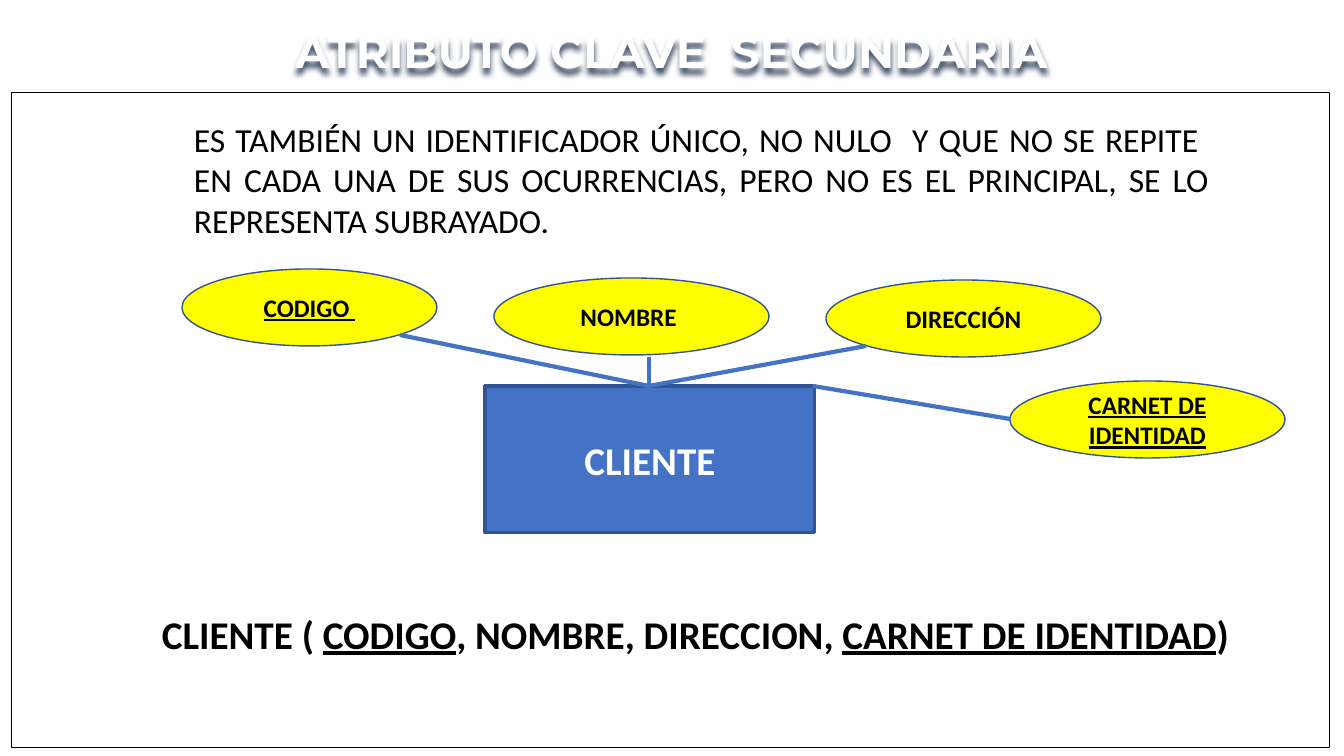
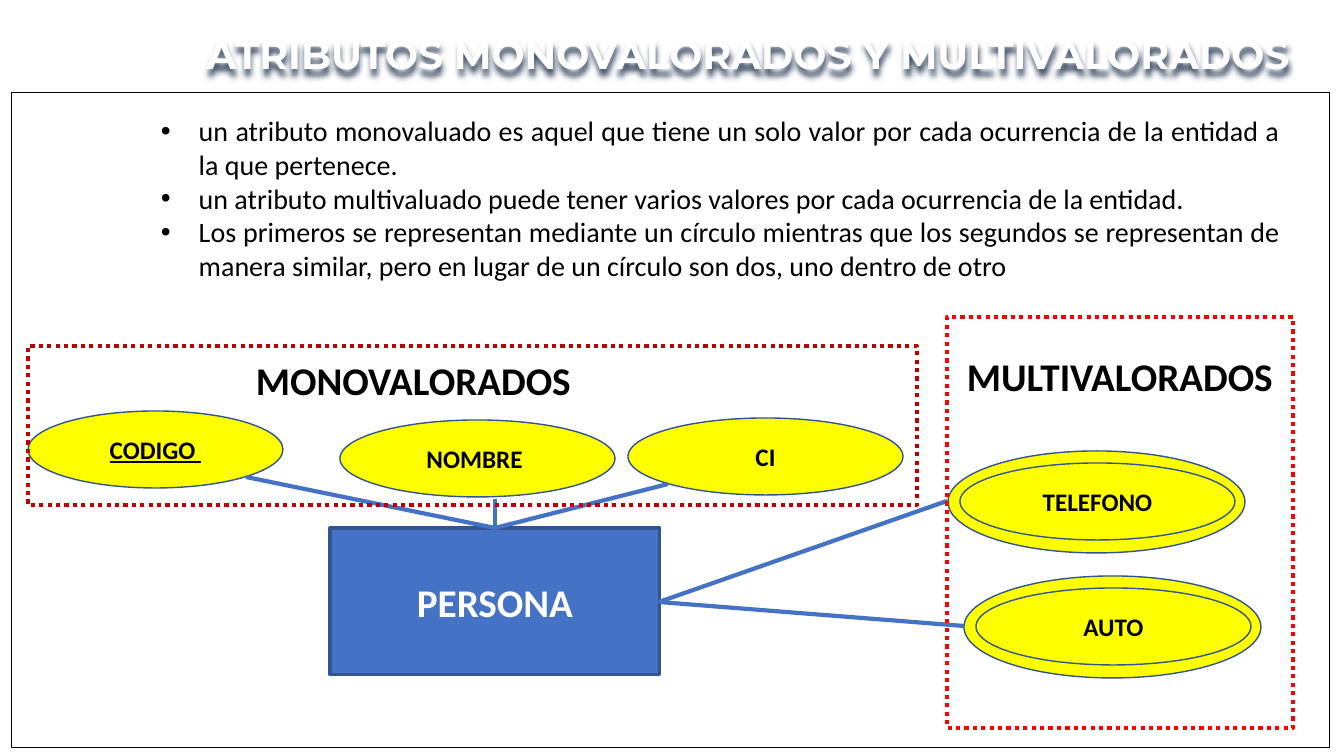
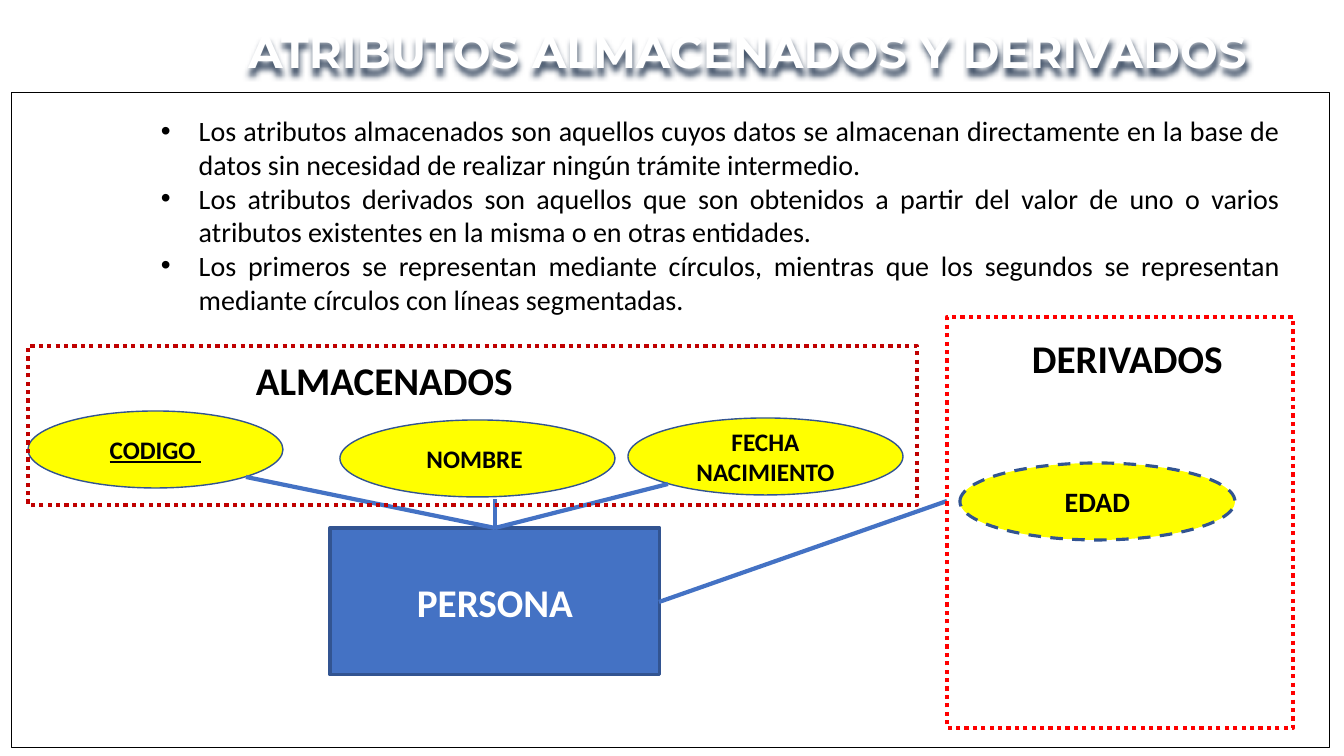
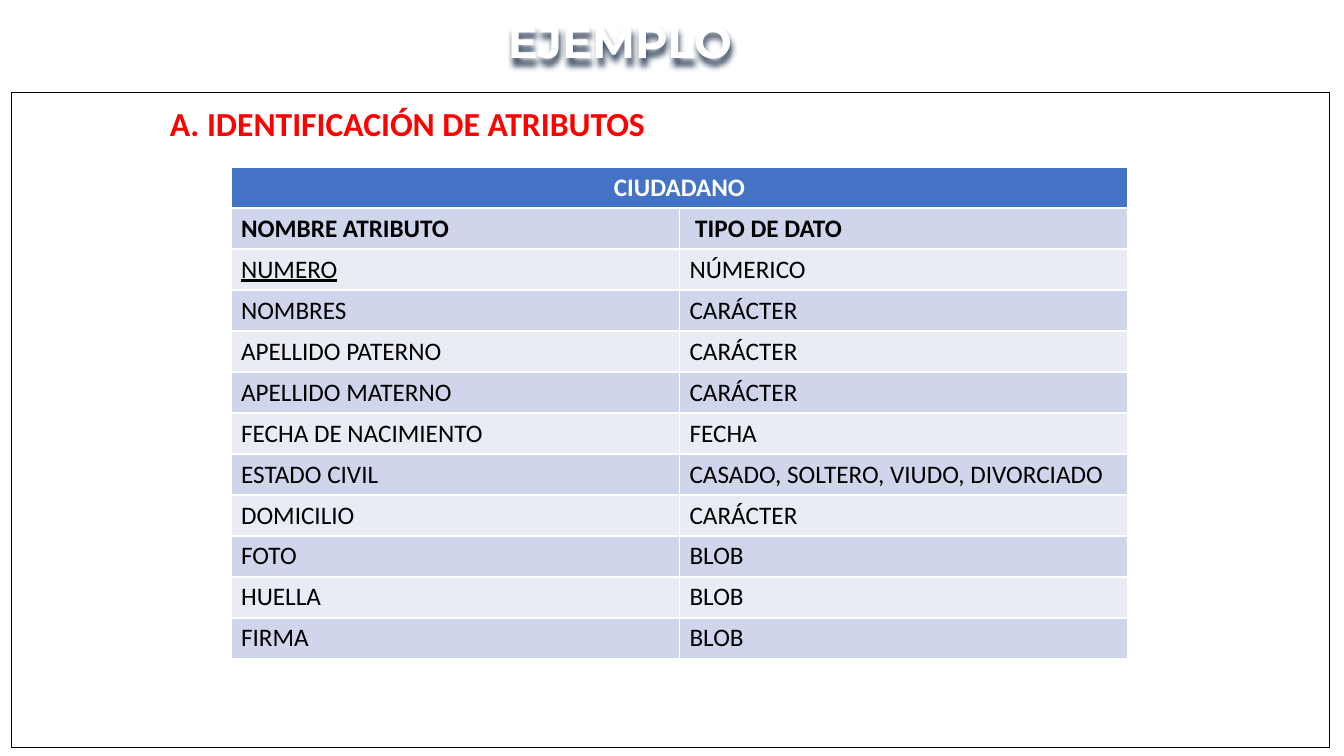
from dataclasses import dataclass

from lxml.etree import SubElement
from pptx import Presentation
from pptx.dml.color import RGBColor
from pptx.enum.dml import MSO_LINE as DASH
from pptx.enum.shapes import MSO_CONNECTOR as LINK, MSO_SHAPE as SHAPE
from pptx.enum.text import MSO_ANCHOR as ANCHOR, MSO_AUTO_SIZE as FIT, PP_ALIGN as ALIGN
from pptx.oxml.ns import qn
from pptx.util import Pt


@dataclass(frozen=True)
class Theme:
    white: str = "FFFFFF"
    black: str = "000000"
    blue: str = "4472C4"
    edge: str = "325491"
    yellow: str = "FFFF00"
    red: str = "FF0000"
    wine: str = "C00000"
    shade: str = "44546A"
    bands: tuple = ("E9EBF5", "CFD5EA")
    head: str = "Montserrat"
    body: str = "Calibri"
    big: int = 28
    mid: int = 24
    list: int = 20
    small: int = 18


T = Theme()
PX = 12192000 / 1344


def write(frame, *paras, size=T.small, color=T.black, bold=False, font=T.body,
          align=ALIGN.LEFT, lead=None, bullet=False):
    """Fill a text frame; underscores switch underlining on and off."""
    for i, text in enumerate(paras):
        para = frame.add_paragraph() if i else frame.paragraphs[0]
        para.alignment = align
        if lead:
            para.line_spacing = Pt(lead)
        if bullet:
            props = para._p.get_or_add_pPr()
            props.set("marL", "342900")
            props.set("indent", "-342900")
            SubElement(props, qn("a:buFont")).set("typeface", "Arial")
            SubElement(props, qn("a:buChar")).set("char", "•")
        for j, part in enumerate(text.split("_")):
            if part:
                run = para.add_run()
                run.text = part
                run.font.size, run.font.name, run.font.bold = Pt(size), font, bold
                run.font.color.rgb = RGBColor.from_string(color)
                if j % 2:
                    run.font.underline = True


def draw(slide, kind, box, fill=None, line=T.edge, width=1, dash=None):
    """Add a shape, or a text box when there is no kind."""
    place = [round(n * PX) for n in box]
    if kind is None:
        return slide.shapes.add_textbox(*place)
    shape = slide.shapes.add_shape(kind, *place)
    shape.shadow.inherit = False
    if fill:
        shape.fill.solid()
        shape.fill.fore_color.rgb = RGBColor.from_string(fill)
    else:
        shape.fill.background()
    shape.line.color.rgb = RGBColor.from_string(line)
    shape.line.width = Pt(width)
    if dash:
        shape.line.dash_style = dash
    return shape


# Parts that the two PERSONA diagrams share
zones = [((947, 317, 346, 411), T.red), ((28, 346, 889, 159), T.wine)]
fan = [(495, 528, 495, 499), (495, 528, 246, 477), (495, 528, 668, 484),
       (659, 602, 947, 501)]
base = [("_CODIGO _", 28, 411, 255, ""), ("NOMBRE ", 340, 420, 275, "")]

# Pages: title, box and size; body; entity; ovals; links; zones; labels
pages = [
    dict(title="ATRIBUTO CLAVE  SECUNDARIA", at=(267, 28, 809, 49), size=32,
         text=["ES TAMBIÉN UN IDENTIFICADOR ÚNICO, NO NULO  Y QUE NO SE REPITE  EN CADA UNA "
               "DE SUS OCURRENCIAS, PERO NO ES EL PRINCIPAL, SE LO REPRESENTA SUBRAYADO."],
         area=(184, 114, 1035, 132), entity=("CLIENTE", 485, 386),
         ovals=[("_CODIGO _", 182, 269, 255, ""), ("NOMBRE ", 494, 278, 275, ""),
                ("DIRECCIÓN", 826, 280, 275, ""),
                ("_CARNET DE IDENTIDAD_", 1010, 381, 275, "")],
         links=[(649, 386, 649, 357), (649, 386, 400, 335), (649, 386, 866, 346),
                (813, 386, 1010, 419)],
         zones=[],
         labels=[("CLIENTE ( _CODIGO_, NOMBRE, DIRECCION, _CARNET DE IDENTIDAD_)",
                  (152, 605, 1100, 57))]),
    dict(title="ATRIBUTOS MONOVALORADOS Y MULTIVALORADOS", at=(128, 28, 1240, 46), size=28,
         text=["un atributo monovaluado es aquel que tiene un solo valor por cada ocurrencia "
               "de la entidad a la que pertenece.",
               "un atributo multivaluado puede tener varios valores por cada ocurrencia de la "
               "entidad.",
               "Los primeros se representan mediante un círculo mientras que los segundos se "
               "representan de manera similar, pero en lugar de un círculo son dos, uno dentro "
               "de otro"],
         area=(151, 109, 1139, 179), entity=("PERSONA", 330, 528),
         ovals=base + [("CI", 628, 418, 275, ""), ("TELEFONO", 960, 463, 275, "double"),
                       ("AUTO", 976, 588, 275, "double")],
         links=fan + [(659, 602, 964, 626)], zones=zones,
         labels=[("MONOVALORADOS", (246, 351, 339, 57)),
                 ("MULTIVALORADOS", (957, 347, 330, 57))]),
    dict(title="ATRIBUTOS ALMACENADOS Y DERIVADOS", at=(128, 28, 1240, 49), size=32,
         text=["Los atributos almacenados son aquellos cuyos datos se almacenan directamente "
               "en la base de datos sin necesidad de realizar ningún trámite intermedio.",
               "Los atributos derivados son aquellos que son obtenidos a partir del valor de "
               "uno o varios atributos existentes en la misma o en otras entidades.",
               "Los primeros se representan mediante círculos, mientras que los segundos se "
               "representan mediante círculos con líneas segmentadas."],
         area=(151, 109, 1139, 214), entity=("PERSONA", 330, 528),
         ovals=base + [("FECHA NACIMIENTO", 628, 418, 275, ""),
                       ("EDAD", 960, 463, 275, "dash")],
         links=fan, zones=zones,
         labels=[("ALMACENADOS", (246, 351, 280, 57)),
                 ("DERIVADOS", (1022, 329, 213, 57))]),
    dict(title="EJEMPLO", at=(0, 18, 1240, 49), size=32),
]

deck = Presentation()
deck.slide_width, deck.slide_height = round(1344 * PX), round(756 * PX)
layout = deck.slide_layouts[5]
slides = [deck.slides.add_slide(layout) for page in pages]

# Shared frame, kept on the layout
panel = draw(slides[0], SHAPE.RECTANGLE, (12, 93, 1318, 655), T.white, T.black, 0.75)
panel.element.xpath(".//p:cNvPr")[0].set("id", "90")
layout.shapes.element.insert(2, panel.element)

# Titles with a soft shadow
for slide, page in zip(slides, pages):
    title = slide.shapes.title
    title.left, title.top, title.width, title.height = [round(n * PX) for n in page["at"]]
    frame = title.text_frame
    frame.margin_left = frame.margin_right = frame.margin_top = frame.margin_bottom = 0
    frame.vertical_anchor, frame.word_wrap, frame.auto_size = ANCHOR.TOP, True, FIT.NONE
    write(frame, page["title"], size=page["size"], color=T.white, bold=True,
          font=T.head, align=ALIGN.CENTER, lead=35)
    glow = SubElement(SubElement(title.element.spPr, qn("a:effectLst")), qn("a:outerShdw"))
    for key, value in dict(blurRad=50800, dist=50800, dir=5400000, algn="t",
                           rotWithShape=0).items():
        glow.set(key, str(value))
    SubElement(glow, qn("a:srgbClr")).set("val", T.shade)

# Entity diagrams
for slide, page in zip(slides[:3], pages):
    many = len(page["text"]) > 1
    frame = draw(slide, None, page["area"]).text_frame
    frame.word_wrap = True
    write(frame, *page["text"], size=T.list if many else T.mid,
          align=ALIGN.JUSTIFY, bullet=many)

    name, x, y = page["entity"]
    entity = draw(slide, SHAPE.RECTANGLE, (x, y, 330, 147), T.blue, width=2.25)
    write(entity.text_frame, name, size=T.big, color=T.white, bold=True, align=ALIGN.CENTER)

    for name, x, y, wide, style in page["ovals"]:
        if style == "double":
            draw(slide, SHAPE.OVAL, (x - 12, y - 12, wide + 22, 102), T.yellow)
        cut = style == "dash"
        oval = draw(slide, SHAPE.OVAL, (x, y, wide, 77), T.yellow,
                    width=2.25 if cut else 1, dash=DASH.DASH if cut else None)
        write(oval.text_frame, name, size=T.list if cut else T.small, bold=True,
              align=ALIGN.CENTER)

    for ends in page["links"]:
        link = slide.shapes.add_connector(LINK.STRAIGHT, *[round(n * PX) for n in ends])
        link.line.color.rgb = RGBColor.from_string(T.blue)
        link.line.width = Pt(3)
        SubElement(link.element.spPr, qn("a:effectLst"))

    for box, color in page["zones"]:
        draw(slide, SHAPE.RECTANGLE, box, line=color, width=3, dash=DASH.ROUND_DOT)

    for text, box in page["labels"]:
        frame = draw(slide, None, box).text_frame
        frame.word_wrap = False
        write(frame, text, size=T.big, bold=True)

# Attribute table
slide = slides[3]
frame = draw(slide, None, (160, 98, 507, 50)).text_frame
frame.word_wrap = False
write(frame, "A. IDENTIFICACIÓN DE ATRIBUTOS", size=T.mid, color=T.red, bold=True)

rows = [
    ("CIUDADANO", ""),
    ("NOMBRE ATRIBUTO", " TIPO DE DATO"),
    ("_NUMERO_", "NÚMERICO"),
    ("NOMBRES", "CARÁCTER"),
    ("APELLIDO PATERNO", "CARÁCTER"),
    ("APELLIDO MATERNO", "CARÁCTER"),
    ("FECHA DE NACIMIENTO", "FECHA"),
    ("ESTADO CIVIL", "CASADO, SOLTERO, VIUDO, DIVORCIADO"),
    ("DOMICILIO", "CARÁCTER"),
    ("FOTO", "BLOB"),
    ("HUELLA", "BLOB"),
    ("FIRMA", "BLOB"),
]
place = [round(n * PX) for n in (231, 167, 897, 41 * len(rows))]
grid = slide.shapes.add_table(len(rows), 2, *place).table
grid.cell(0, 0).merge(grid.cell(0, 1))
for i, row in enumerate(rows):
    for j, text in enumerate(row):
        cell = grid.cell(i, j)
        cell.fill.solid()
        cell.fill.fore_color.rgb = RGBColor.from_string(T.bands[i % 2] if i else T.blue)
        write(cell.text_frame, text, bold=i < 2, color=T.black if i else T.white,
              align=ALIGN.LEFT if i else ALIGN.CENTER)

deck.save("out.pptx")
